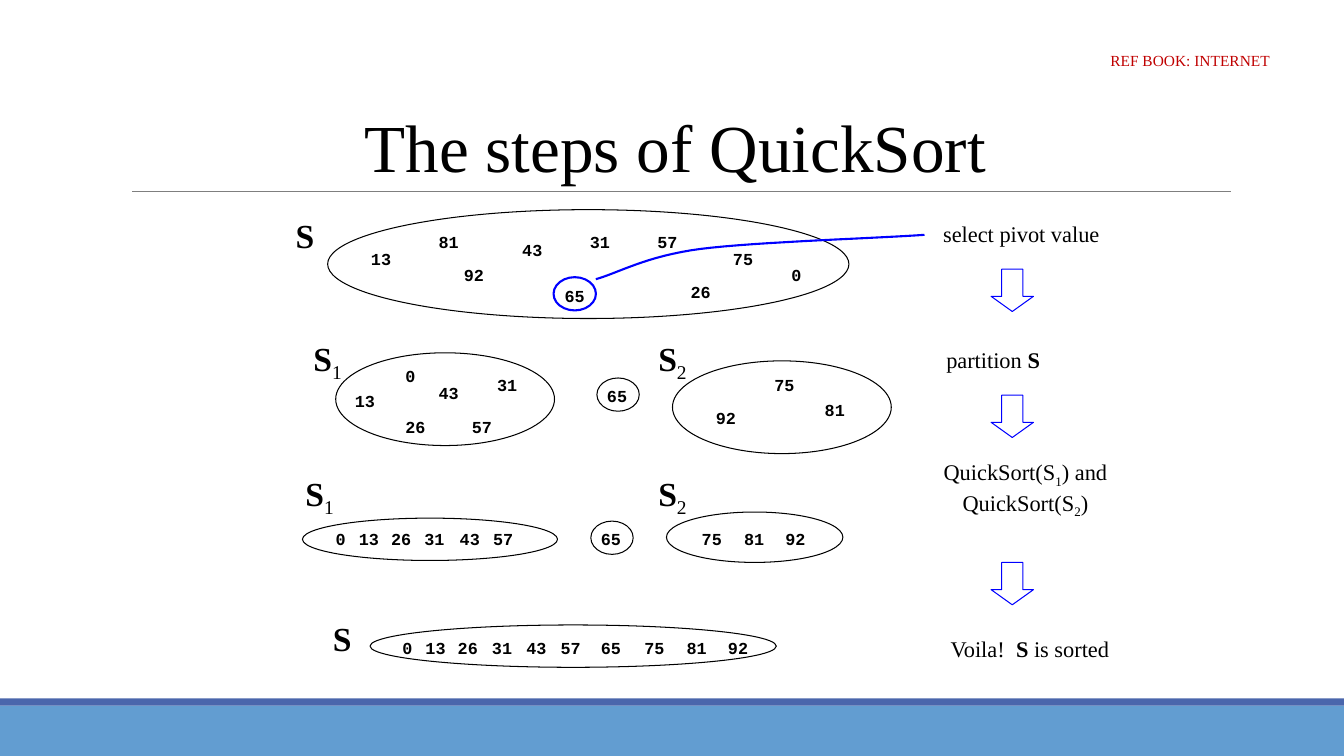
import lxml.etree
import pptx
import pptx.dml.color
import pptx.enum.shapes
import pptx.enum.text
import pptx.oxml.ns
import pptx.util

RGB = pptx.dml.color.RGBColor
SHAPE = pptx.enum.shapes.MSO_SHAPE
BLACK = RGB(0x00, 0x00, 0x00)
WHITE = RGB(0xFF, 0xFF, 0xFF)
GREY = RGB(0x7F, 0x7F, 0x7F)
RED = RGB(0xC0, 0x00, 0x00)
PIVOT_BLUE = RGB(0x00, 0x00, 0xFF)
FOOTER_BLUE = RGB(0x62, 0x9D, 0xD1)
FOOTER_EDGE = RGB(0x4A, 0x66, 0xAC)

SLIDE_WIDTH, SLIDE_HEIGHT = 1333, 750
PIVOT = 65
SORTED_VALUES = [0, 13, 26, 31, 43, 57, 65, 75, 81, 92]

# value, left, top
UNSORTED = [(13, 358, 242), (81, 425, 225), (92, 450, 258), (43, 508, 233),
            (PIVOT, 550, 278), (31, 575, 225), (57, 642, 225), (26, 675, 275),
            (75, 717, 242), (0, 775, 258)]
PARTITIONED = [(13, 342, 383), (81, 808, 392), (92, 700, 400), (43, 425, 375),
               (PIVOT, 592, 378), (31, 483, 367), (57, 458, 408),
               (26, 392, 408), (75, 758, 367), (0, 392, 358)]
# top of the row, lefts of the values in order
SORTED_ROWS = [
    (520, [323, 346, 378, 411, 446, 479, 586, 686, 728, 769]),
    (628, [389, 412, 444, 478, 512, 546, 586, 629, 671, 712]),
]

# left, top, width, height
FILLED_SETS = [(325, 208, 517, 108), (333, 350, 217, 92),
               (300, 514, 253, 42), (367, 620, 403, 42)]
OPEN_SETS = [(667, 358, 217, 92), (661, 508, 175, 50)]
PIVOT_RINGS = [(592, 375), (586, 517)]

# subscript, left, top
SET_LABELS = [("", 283, 208), ("1", 300, 333), ("2", 642, 333),
              ("1", 292, 467), ("2", 642, 467), ("", 320, 608)]

# box, paragraphs of (text, style) runs
STEPS = [
    ((925, 213, 176, 37), [[("select pivot value", "")]]),
    ((928, 338, 114, 37), [[("partition ", ""), ("S", "bold")]]),
    ((925, 453, 184, 64), [
        [("QuickSort(S", ""), ("1", "sub"), (") and", "")],
        [("QuickSort(S", ""), ("2", "sub"), (")", "")]]),
    ((931, 625, 181, 37), [[("Voila!  ", ""), ("S", "bold"), (" is sorted", "")]]),
]
ARROW_TOPS = [267, 392, 558]

# each Bezier: start, two controls, end
PIVOT_CURVE = [
    [(917, 233), (880, 236), (749, 240), (695, 247)],
    [(695, 247), (641, 254), (613, 271), (591, 277)],
]


def px(length):
    return pptx.util.Emu(length * 9144)


def bezier_point(controls, t):
    weights = ((1 - t) ** 3, 3 * t * (1 - t) ** 2, 3 * t * t * (1 - t), t ** 3)
    return tuple(round(9144 * sum(w * p[axis] for w, p in zip(weights, controls)))
                 for axis in (0, 1))


class Board:
    serif = "Times New Roman"
    mono = "Courier New"

    def __init__(self, slide):
        self.slide = slide
        self.shapes = slide.shapes

    def style_paragraph(self, paragraph, size, color, font, bold=False):
        paragraph.alignment = pptx.enum.text.PP_ALIGN.CENTER
        paragraph.font.size = pptx.util.Pt(size)
        paragraph.font.name = font
        paragraph.font.color.rgb = color
        paragraph.font.bold = bold

    def title(self, box, wording):
        heading = self.shapes.title
        heading.left, heading.top, heading.width, heading.height = map(px, box)
        frame = heading.text_frame
        frame.text = wording
        frame.vertical_anchor = pptx.enum.text.MSO_ANCHOR.BOTTOM
        frame.paragraphs[0].line_spacing = 0.85
        self.style_paragraph(frame.paragraphs[0], 48, BLACK, self.serif)

    def text(self, box, paragraphs, size, color=BLACK, font=serif, bold=False):
        """Centre paragraphs of (text, style) runs; style is "", "bold" or "sub"."""
        frame = self.shapes.add_textbox(*map(px, box)).text_frame
        frame.word_wrap = False
        frame.vertical_anchor = pptx.enum.text.MSO_ANCHOR.MIDDLE
        for index, runs in enumerate(paragraphs):
            paragraph = frame.add_paragraph() if index else frame.paragraphs[0]
            self.style_paragraph(paragraph, size, color, font, bold)
            for wording, style in runs:
                run = paragraph.add_run()
                run.text = wording
                if style == "bold":
                    run.font.bold = True
                elif style == "sub":
                    run.font._element.set("baseline", "-25000")

    def number(self, value, left, top):
        width = 40 if value > 9 else 30
        self.text((left, top, width, 30), [[(str(value), "")]], 12,
                  font=self.mono, bold=True)

    def outline(self, shape, fill, line, weight):
        shape.shadow.inherit = False
        if fill is None:
            shape.fill.background()
        else:
            shape.fill.solid()
            shape.fill.fore_color.rgb = fill
        if line is None:
            shape.line.fill.background()
        else:
            shape.line.color.rgb = line
            shape.line.width = pptx.util.Pt(weight)

    def shape(self, kind, box, fill=None, line=BLACK, weight=0.75):
        shape = self.shapes.add_shape(kind, *map(px, box))
        self.outline(shape, fill, line, weight)
        return shape

    def rule(self, left, right, y):
        line = self.shapes.add_connector(
            pptx.enum.shapes.MSO_CONNECTOR.STRAIGHT, *map(px, (left, y, right, y)))
        line.line.color.rgb = GREY
        line.line.width = pptx.util.Pt(0.75)
        lxml.etree.SubElement(line._element.spPr, pptx.oxml.ns.qn("a:effectLst"))

    def curve(self, beziers, steps=16):
        points = [bezier_point(controls, step / steps)
                  for controls in beziers for step in range(steps + 1)]
        builder = self.shapes.build_freeform(*points[0])
        builder.add_line_segments(points[1:], close=False)
        self.outline(builder.convert_to_shape(), None, PIVOT_BLUE, 1.5)


def main():
    deck = pptx.Presentation()
    deck.slide_width, deck.slide_height = px(SLIDE_WIDTH), px(SLIDE_HEIGHT)
    board = Board(deck.slides.add_slide(deck.slide_layouts[5]))

    board.shape(SHAPE.RECTANGLE, (0, 700, SLIDE_WIDTH, 50), FOOTER_BLUE, None)
    board.shape(SHAPE.RECTANGLE, (0, 693, SLIDE_WIDTH, 7), FOOTER_EDGE, None)
    board.rule(131, 1221, 190)
    board.title((120, 31, 1100, 159), "The steps of QuickSort")

    for box in FILLED_SETS:
        board.shape(SHAPE.OVAL, box, WHITE)
    for box in OPEN_SETS:
        board.shape(SHAPE.OVAL, box)
    for left, top in PIVOT_RINGS:
        board.shape(SHAPE.OVAL, (left, top, 42, 33))
    board.shape(SHAPE.OVAL, (549, 275, 42, 33), line=PIVOT_BLUE, weight=1.5)

    for value, left, top in UNSORTED + PARTITIONED:
        board.number(value, left, top)
    for top, lefts in SORTED_ROWS:
        for value, left in zip(SORTED_VALUES, lefts):
            board.number(value, left, top)

    for subscript, left, top in SET_LABELS:
        runs = [("S", "bold")] + ([(subscript, "sub")] if subscript else [])
        board.text((left, top, 50 if subscript else 39, 50), [runs], 24)
    for box, paragraphs in STEPS:
        board.text(box, paragraphs, 16)

    board.curve(PIVOT_CURVE)
    for top in ARROW_TOPS:
        arrow = board.shape(SHAPE.DOWN_ARROW, (983, top, 42, 42), line=PIVOT_BLUE)
        arrow.adjustments[1] = 0.358
    board.text((1059, 33, 243, 54), [[("REF BOOK: INTERNET", "")]], 11, RED)

    deck.save("out.pptx")


if __name__ == "__main__":
    main()
